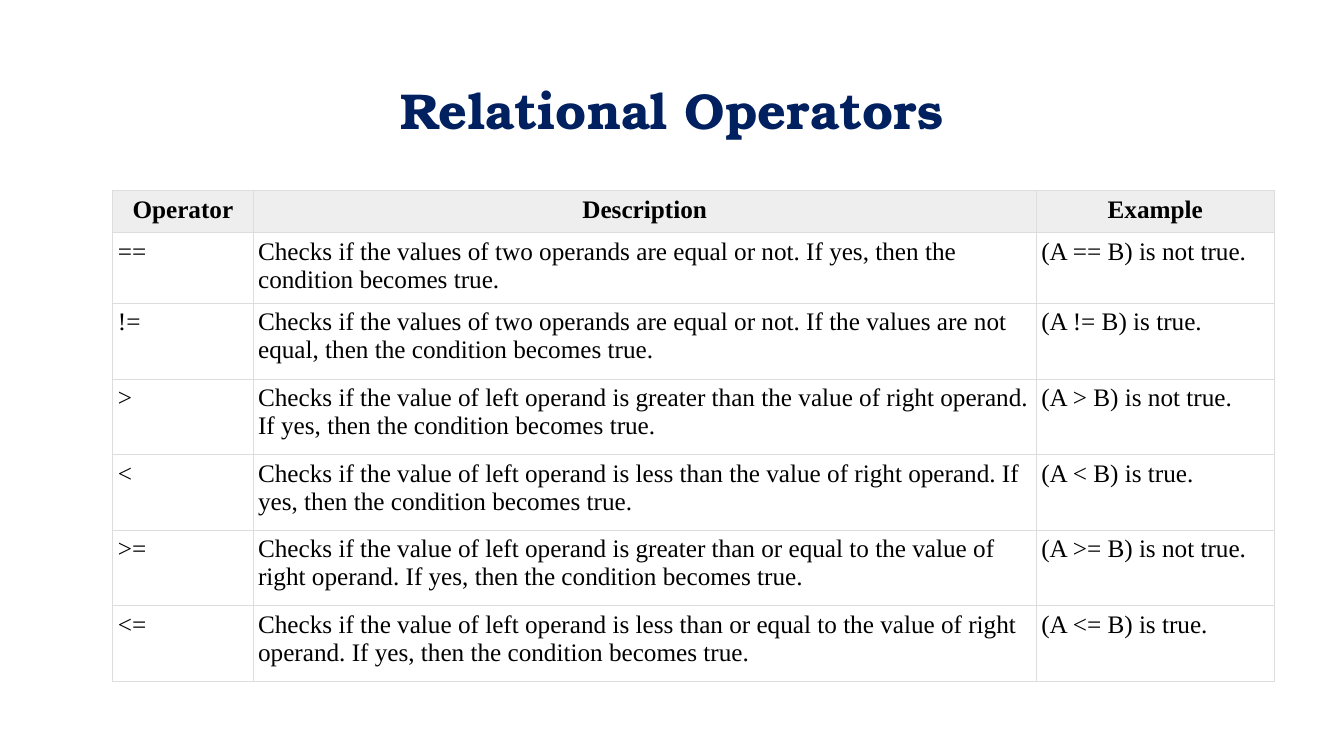
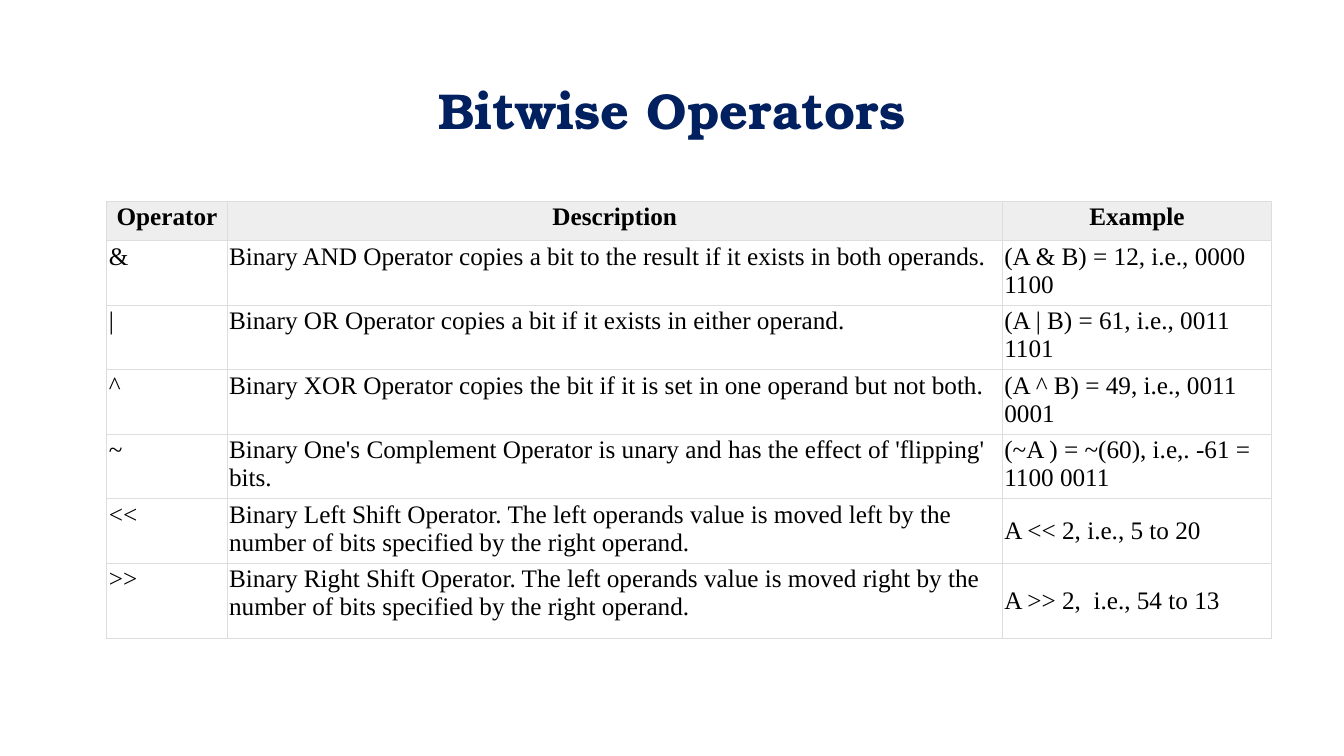
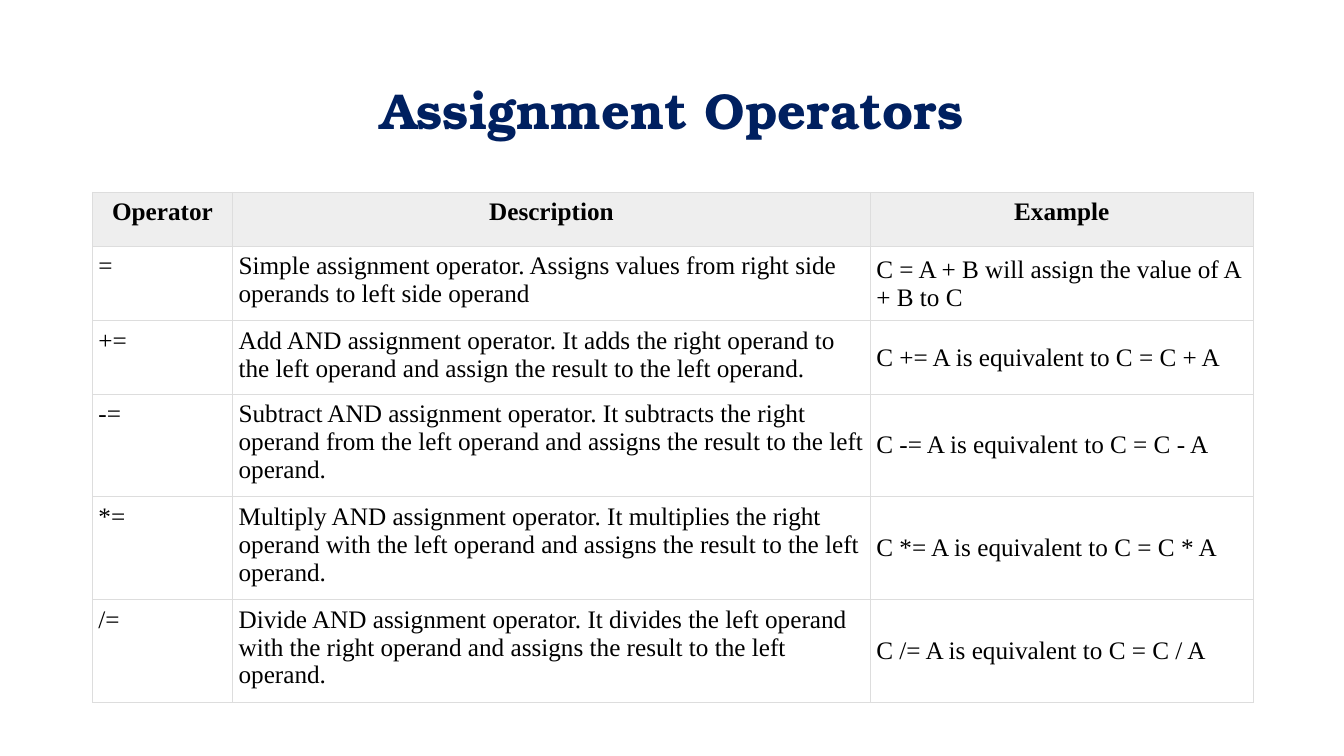
from pptx import Presentation
from pptx.dml.color import RGBColor as Rgb
from pptx.enum.text import MSO_ANCHOR as Anchor, PP_ALIGN as Align
from pptx.oxml import parse_xml
from pptx.oxml.ns import nsdecls
from pptx.util import Inches, Pt

HEADS = ("Operator", "Description", "Example")
RELATE = [
    ("==", "Checks if the values of two operands are equal or not. If yes, then the condition becomes true.",
     "(A == B) is not true."),
    ("!=", "Checks if the values of two operands are equal or not. If the values are not equal, "
     "then the condition becomes true.", "(A != B) is true."),
    (">", "Checks if the value of left operand is greater than the value of right operand. "
     "If yes, then the condition becomes true.", "(A > B) is not true."),
    ("<", "Checks if the value of left operand is less than the value of right operand. "
     "If yes, then the condition becomes true.", "(A < B) is true."),
    (">=", "Checks if the value of left operand is greater than or equal to the value of right operand. "
     "If yes, then the condition becomes true.", "(A >= B) is not true."),
    ("<=", "Checks if the value of left operand is less than or equal to the value of right operand. "
     "If yes, then the condition becomes true.", "(A <= B) is true."),
]
BITS = [
    ("&", "Binary AND Operator copies a bit to the result if it exists in both operands.",
     "(A & B) = 12, i.e., 0000 1100"),
    ("|", "Binary OR Operator copies a bit if it exists in either operand.",
     "(A | B) = 61, i.e., 0011 1101"),
    ("^", "Binary XOR Operator copies the bit if it is set in one operand but not both.",
     "(A ^ B) = 49, i.e., 0011 0001"),
    ("~", "Binary One's Complement Operator is unary and has the effect of 'flipping' bits.",
     "(~A ) = ~(60), i.e,. -61 = 1100 0011"),
    ("<<", "Binary Left Shift Operator. The left operands value is moved left by the number of bits "
     "specified by the right operand.", "A << 2, i.e., 5 to 20"),
    (">>", "Binary Right Shift Operator. The left operands value is moved right by the number of bits "
     "specified by the right operand.", "A >> 2,  i.e., 54 to 13"),
]
ASSIGN = [
    ("=", "Simple assignment operator. Assigns values from right side operands to left side operand",
     "C = A + B will assign the value of A + B to C"),
    ("+=", "Add AND assignment operator. It adds the right operand to the left operand "
     "and assign the result to the left operand.", "C += A is equivalent to C = C + A"),
    ("-=", "Subtract AND assignment operator. It subtracts the right operand from the left operand "
     "and assigns the result to the left operand.", "C -= A is equivalent to C = C - A"),
    ("*=", "Multiply AND assignment operator. It multiplies the right operand with the left operand "
     "and assigns the result to the left operand.", "C *= A is equivalent to C = C * A"),
    ("/=", "Divide AND assignment operator. It divides the left operand with the right operand "
     "and assigns the result to the left operand.", "C /= A is equivalent to C = C / A"),
]


class Deck:
    """Hold the style and the current slide; lengths are percent of the slide's size."""

    hues = {"title": "002060", "text": "000000", "head": "EEEEEE", "body": "FFFFFF", "rule": "DDDDDD"}
    fonts = {"title": "TeX Gyre Bonum", "text": "Times New Roman"}

    def __init__(self):
        self.prs = Presentation()
        self.prs.slide_width, self.prs.slide_height = Inches(13.33), Inches(7.5)

    def wide(self, share):
        return round(self.prs.slide_width * share / 100)

    def high(self, share):
        return round(self.prs.slide_height * share / 100)

    def style(self, par, role, size, bold, align):
        par.alignment = align
        for run in par.runs:
            font = run.font
            font.name, font.size, font.bold = self.fonts[role], Pt(size), bold
            font.color.rgb = Rgb.from_string(self.hues[role])

    def page(self, title):
        self.slide = self.prs.slides.add_slide(self.prs.slide_layouts[6])
        box = self.slide.shapes.add_textbox(self.wide(6.88), self.high(5.33), self.wide(86.25), self.high(19.33))
        frame = box.text_frame
        frame.word_wrap, frame.vertical_anchor = True, Anchor.MIDDLE
        frame.text = title
        par = frame.paragraphs[0]
        par.line_spacing = 0.9
        self.style(par, "title", 36, True, Align.CENTER)

    def border(self, cell):
        props = cell._tc.get_or_add_tcPr()
        for i, side in enumerate(("lnL", "lnR", "lnT", "lnB")):
            props.insert(i, parse_xml(
                f'<a:{side} {nsdecls("a")} w="{Pt(0.75)}"><a:solidFill>'
                f'<a:srgbClr val="{self.hues["rule"]}"/></a:solidFill></a:{side}>'))

    def cell(self, cell, text, head, inset, mid):
        cell.text = text
        cell.margin_left = cell.margin_right = cell.margin_top = cell.margin_bottom = Inches(inset)
        cell.vertical_anchor = Anchor.MIDDLE if mid else Anchor.TOP
        cell.fill.solid()
        cell.fill.fore_color.rgb = Rgb.from_string(self.hues["head" if head else "body"])
        self.border(cell)
        self.style(cell.text_frame.paragraphs[0], "text", 18, head, Align.CENTER if head else Align.LEFT)

    def table(self, data, left, top, cols, rows, inset, mid):
        data = [HEADS, *data]
        grid = self.slide.shapes.add_table(
            len(rows), len(cols), self.wide(left), self.high(top),
            self.wide(sum(cols)), self.high(sum(rows))).table
        for col, share in zip(grid.columns, cols):
            col.width = self.wide(share)
        for r, (row, share) in enumerate(zip(grid.rows, rows)):
            row.height = self.high(share)
            for c, text in enumerate(data[r]):
                self.cell(grid.cell(r, c), text, r == 0, inset, c == 2 and r >= mid)


def main():
    deck = Deck()
    deck.page("Relational Operators")
    deck.table(RELATE, 8.4, 25.2, (10.43, 58.28, 17.7), (5.6, 8.6, *[10] * 5), 0.05, len(RELATE) + 1)
    deck.page("Bitwise Operators")
    deck.table(BITS, 7.95, 26.65, (8.95, 57.68, 20.03), (5.2, *[7.93] * 5, 9.9), 0.02, 5)
    deck.page("Assignment Operators")
    deck.table(ASSIGN, 6.88, 25.45, (10.43, 47.45, 28.5), (7.13, 9.87, 9.67, 12.8, 12.7, 12.7), 0.06, 1)
    deck.prs.save("out.pptx")


if __name__ == "__main__":
    main()
